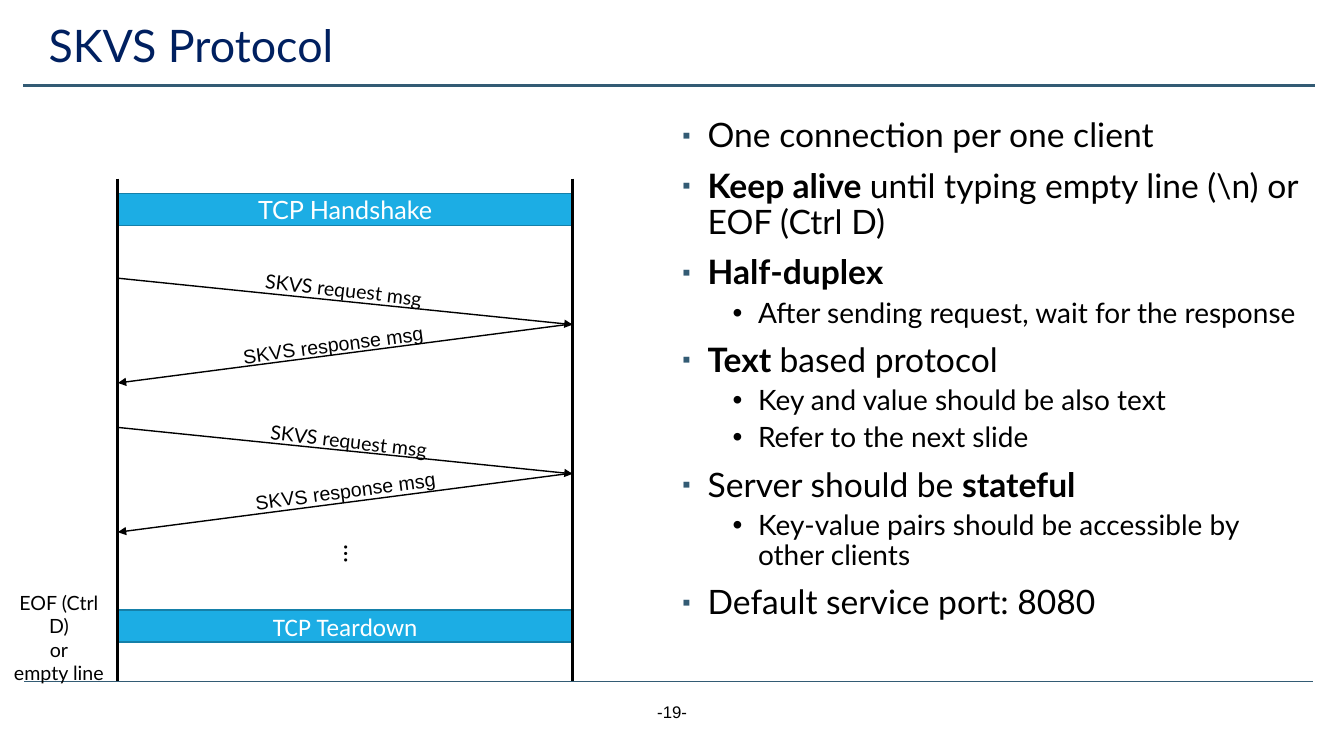
from dataclasses import dataclass

from lxml import etree
from pptx import Presentation
from pptx.dml.color import RGBColor
from pptx.enum import shapes, text
from pptx.oxml import ns
from pptx.util import Cm, Pt


@dataclass(frozen=True)
class Theme:
    black: str = "000000"
    white: str = "FFFFFF"
    navy: str = "002060"
    slate: str = "335B74"
    bar_fill: str = "1CADE4"
    bar_line: str = "1580A9"
    main_font: str = "Lato"
    plain_font: str = "Arial"
    bar_font: str = "Calibri"
    title_size: int = 32
    bullet_size: int = 24
    detail_size: int = 20
    bar_size: int = 18
    label_size: int = 14
    number_size: int = 12


THEME = Theme()


@dataclass(frozen=True)
class Line:
    x1: float
    y1: float
    x2: float
    y2: float
    weight: float
    color: str = THEME.black
    arrow: bool = False


@dataclass(frozen=True)
class Bar:
    words: str
    top: float
    font: str


@dataclass(frozen=True)
class Label:
    words: str
    left: float
    top: float
    width: float
    height: float
    size: int = THEME.label_size
    font: str = THEME.main_font
    rotation: float = 0
    wrap: bool = False


@dataclass(frozen=True)
class Bullet:
    words: str  # asterisks enclose bold words
    level: int = 0


# Sequence diagram geometry, in centimetres
CLIENT_X, SERVER_X = 2.97, 14.43
ROUND_STEP = 3.76
REQUEST_TILT, RESPONSE_TILT = 6.6, 352.5

RULES = [
    Line(0.61, 17.17, 33.1, 17.17, 0.5, THEME.slate),
    Line(0.58, 2.16, 33.15, 2.16, 1.75, THEME.slate),
]
BARS = [
    Bar("TCP Handshake", 4.88, THEME.main_font),
    Bar("TCP Teardown", 15.37, THEME.bar_font),
]
LIFELINES = [Line(x, 4.5, x, 17.15, 2.25) for x in (CLIENT_X, SERVER_X)]
MESSAGES = [
    Line(x1, y1 + turn * ROUND_STEP, x2, y2 + turn * ROUND_STEP, 1, arrow=True)
    for turn in range(2)
    for x1, y1, x2, y2 in (
        (CLIENT_X, 7.01, SERVER_X, 8.18),
        (SERVER_X, 8.16, CLIENT_X, 9.65),
    )
]
REQUEST_LABELS = [
    Label("SKVS request msg", left, top, 4.52, 0.86, rotation=REQUEST_TILT)
    for left, top in ((6.4, 6.88), (6.53, 10.69))
]
RESPONSE_LABELS = [
    Label("SKVS response msg", left, top, 5.11, 0.86,
          font=THEME.plain_font, rotation=RESPONSE_TILT)
    for left, top in ((5.84, 8.26), (6.15, 11.94))
]
OTHER_LABELS = [
    Label("EOF (Ctrl D)\nor\nempty line", 0, 14.76, 2.97, 2.06, wrap=True),
    Label("…", 8.41, 13.46, 1.04, 1.02, THEME.bar_size, rotation=90),
    Label("-19-", 13.13, 17.55, 7.62, 1.02, THEME.number_size,
          THEME.plain_font, wrap=True),
]
BULLETS = [
    Bullet("One connection per one client"),
    Bullet("*Keep alive *until typing empty line (\\n) or EOF (Ctrl D)"),
    Bullet("*Half-duplex*"),
    Bullet("After sending request, wait for the response", 1),
    Bullet("*Text *based protocol"),
    Bullet("Key and value should be also text", 1),
    Bullet("Refer to the next slide", 1),
    Bullet("Server should be *stateful*"),
    Bullet("Key-value pairs should be accessible by other clients", 1),
    Bullet("Default service port: 8080"),
]


def style_font(para, name: str, size: float, color: str) -> None:
    para.font.name = name
    para.font.size = Pt(size)
    para.font.color.rgb = RGBColor.from_string(color)


def place(box, left: float, top: float, width: float, height: float) -> None:
    box.left, box.top, box.width, box.height = map(Cm, (left, top, width, height))


def draw_line(page, line: Line) -> None:
    connector = page.shapes.add_connector(
        shapes.MSO_CONNECTOR.STRAIGHT, Cm(line.x1), Cm(line.y1), Cm(line.x2), Cm(line.y2))
    connector.line.width = Pt(line.weight)
    connector.line.color.rgb = RGBColor.from_string(line.color)
    if line.arrow:
        etree.SubElement(connector.line._get_or_add_ln(), ns.qn("a:tailEnd"), type="triangle")
    etree.SubElement(connector._element.spPr, ns.qn("a:effectLst"))


def draw_bar(page, bar: Bar) -> None:
    box = page.shapes.add_shape(
        shapes.MSO_SHAPE.RECTANGLE, Cm(CLIENT_X), Cm(bar.top), Cm(SERVER_X - CLIENT_X), Cm(0.81))
    box.shadow.inherit = False
    box.fill.solid()
    box.fill.fore_color.rgb = RGBColor.from_string(THEME.bar_fill)
    box.line.color.rgb = RGBColor.from_string(THEME.bar_line)
    box.line.width = Pt(1)
    box.text_frame.text = bar.words
    box.text_frame.vertical_anchor = text.MSO_ANCHOR.MIDDLE
    para = box.text_frame.paragraphs[0]
    para.alignment = text.PP_ALIGN.CENTER
    style_font(para, bar.font, THEME.bar_size, THEME.white)


def draw_label(page, label: Label) -> None:
    box = page.shapes.add_textbox(
        Cm(label.left), Cm(label.top), Cm(label.width), Cm(label.height))
    box.rotation = label.rotation
    box.text_frame.word_wrap = label.wrap
    box.text_frame.text = label.words
    for para in box.text_frame.paragraphs:
        para.alignment = text.PP_ALIGN.CENTER
        style_font(para, label.font, label.size, THEME.black)


def write_bullet(para, bullet: Bullet, first: bool) -> None:
    detail = bullet.level > 0
    para.level = bullet.level
    para.line_spacing = 0.9
    para.space_before = Pt(0 if first else 5 if detail else 10)
    properties = para._p.get_or_add_pPr()
    properties.set("marL", str(Cm(1.91 if detail else 0.64)))
    properties.set("indent", str(Cm(-0.64)))
    if not detail:
        tint = etree.SubElement(properties, ns.qn("a:buClr"))
        etree.SubElement(tint, ns.qn("a:srgbClr"), val=THEME.slate)
        etree.SubElement(properties, ns.qn("a:buSzPct"), val="70000")
    etree.SubElement(properties, ns.qn("a:buFont"), typeface=THEME.plain_font)
    etree.SubElement(properties, ns.qn("a:buChar"), char="•" if detail else "▪")
    style_font(para, THEME.main_font,
               THEME.detail_size if detail else THEME.bullet_size, THEME.black)
    for index, words in enumerate(bullet.words.split("*")):
        if words:
            span = para.add_run()
            span.text = words
            if index % 2:
                span.font.bold = True


def main() -> None:
    deck = Presentation()
    deck.slide_width, deck.slide_height = Cm(33.87), Cm(19.05)
    page = deck.slides.add_slide(deck.slide_layouts[1])

    # Title
    title = page.shapes.title
    place(title, 0.97, 0.48, 31.57, 1.6)
    title.text_frame.text = "SKVS Protocol"
    title.text_frame.auto_size = text.MSO_AUTO_SIZE.NONE
    title.text_frame.vertical_anchor = text.MSO_ANCHOR.TOP
    heading = title.text_frame.paragraphs[0]
    heading.alignment = text.PP_ALIGN.LEFT
    heading.line_spacing = 0.9
    style_font(heading, THEME.main_font, THEME.title_size, THEME.navy)

    # Protocol rules
    body = page.placeholders[1]
    place(body, 16.94, 2.87, 16.1, 14.02)
    body.fill.solid()
    body.fill.fore_color.rgb = RGBColor.from_string(THEME.white)
    frame = body.text_frame
    frame.auto_size = text.MSO_AUTO_SIZE.NONE
    for index, bullet in enumerate(BULLETS):
        para = frame.add_paragraph() if index else frame.paragraphs[0]
        write_bullet(para, bullet, first=index == 0)

    # Sequence diagram and page furniture
    for bar in BARS:
        draw_bar(page, bar)
    for line in RULES + LIFELINES + MESSAGES:
        draw_line(page, line)
    for label in REQUEST_LABELS + RESPONSE_LABELS + OTHER_LABELS:
        draw_label(page, label)

    deck.save("out.pptx")


if __name__ == "__main__":
    main()
